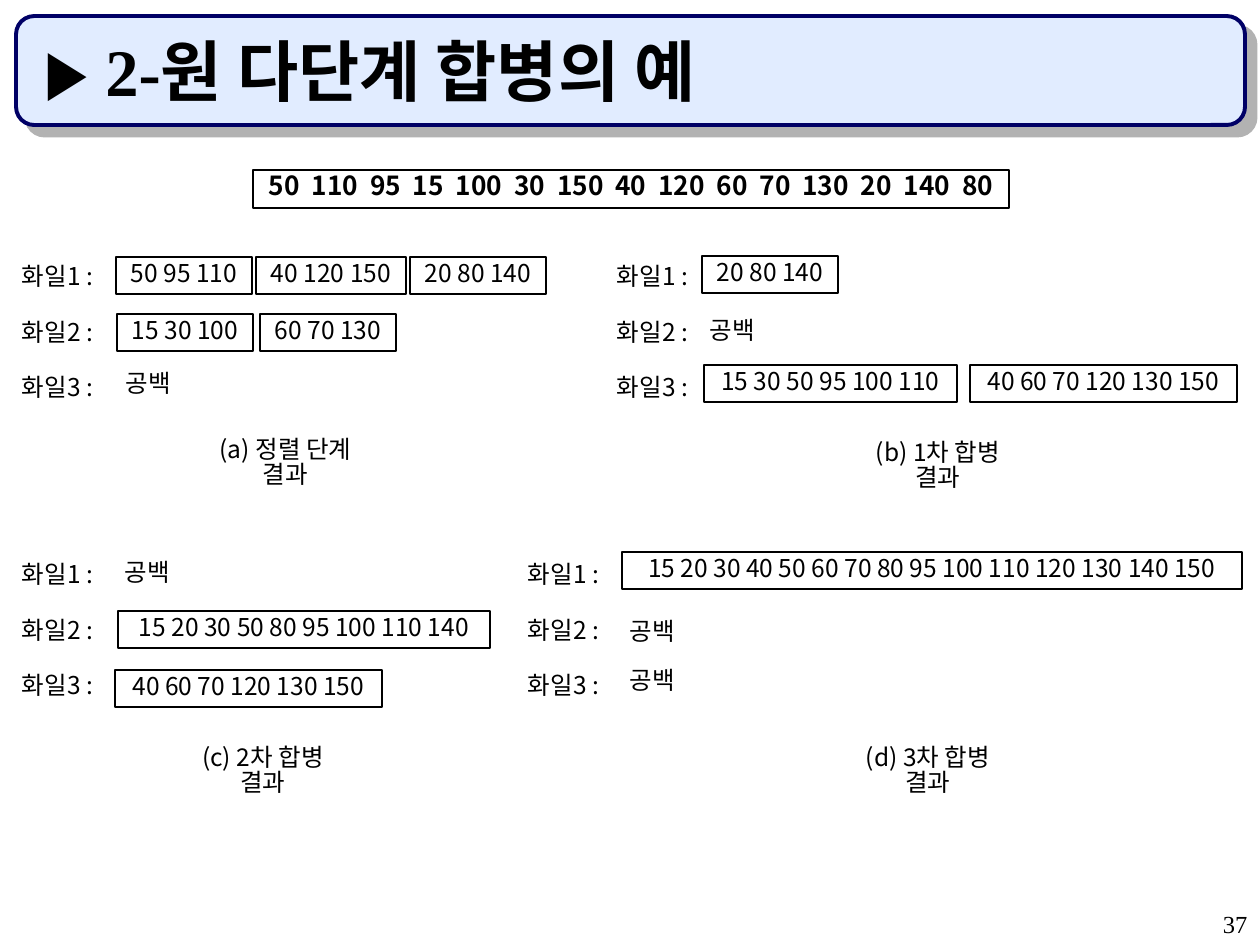
from dataclasses import dataclass

from lxml.etree import SubElement
from pptx import Presentation
from pptx.dml.color import RGBColor
from pptx.enum.shapes import MSO_SHAPE
from pptx.enum.text import MSO_ANCHOR, MSO_AUTO_SIZE, PP_ALIGN
from pptx.oxml.ns import qn
from pptx.util import Emu, Pt

EMU_PER_PX = 914400 / 126


@dataclass(frozen=True)
class Theme:
    ink: RGBColor = RGBColor(0x00, 0x00, 0x00)
    bar_fill: RGBColor = RGBColor(0xE1, 0xEC, 0xFF)
    bar_line: RGBColor = RGBColor(0x00, 0x00, 0x66)
    bar_shadow: str = "B2B2B2"
    serif: str = "Times New Roman"
    sans: str = "Noto Sans CJK KR"
    title_size: int = 38
    source_size: int = 15
    body_size: int = 14
    line_pitch: float = 14
    label_pitch: float = 28.5
    label_gap: float = 3.5


@dataclass(frozen=True)
class Item:
    """A sorted run in a frame, or the word for an empty file."""
    x: int
    y: int
    w: int
    text: str


@dataclass(frozen=True)
class Panel:
    """The three files after one step, with a caption below."""
    label_x: int
    label_y: int
    runs: tuple[Item, ...]
    empties: tuple[tuple[int, int], ...]
    caption: Item


THEME = Theme()
ROW_H = 37
EMPTY_W = 71
FILE_LABELS = "\n".join(f"화일{n} :" for n in (1, 2, 3))
SOURCE = "50 110 95 15 100 30 150 40 120 60 70 130 20 140 80".split()

PANELS = (
    Panel(6, 234,
          (Item(116, 257, 136, "50 95 110"), Item(256, 257, 150, "40 120 150"),
           Item(410, 257, 136, "20 80 140"), Item(117, 314, 136, "15 30 100"),
           Item(260, 314, 136, "60 70 130")),
          ((113, 367),),
          Item(178, 433, 215, "(a) 정렬 단계 결과")),
    Panel(601, 234,
          (Item(702, 256, 136, "20 80 140"),
           Item(704, 365, 253, "15 30 50 95 100 110"),
           Item(970, 365, 267, "40 60 70 120 130 150")),
          ((697, 314),),
          Item(834, 436, 208, "(b) 1차 합병 결과")),
    Panel(6, 532,
          (Item(118, 611, 372, "15 20 30 50 80 95 100 110 140"),
           Item(115, 670, 267, "40 60 70 120 130 150")),
          ((112, 556),),
          Item(161, 741, 204, "(c) 2차 합병 결과")),
    Panel(512, 532,
          (Item(622, 552, 620,
                "15 20 30 40 50 60 70 80 95 100 110 120 130 140 150"),),
          ((617, 615), (617, 664)),
          Item(824, 741, 208, "(d) 3차 합병 결과")),
)


def px(n: int) -> Emu:
    return Emu(round(n * EMU_PER_PX))


def rect(x: int, y: int, w: int, h: int) -> tuple[Emu, ...]:
    return px(x), px(y), px(w), px(h)


def style(tf, size: int, font: str = THEME.sans, bold: bool = False,
          align=PP_ALIGN.CENTER, pitch: float | None = None) -> None:
    tf.auto_size = MSO_AUTO_SIZE.NONE
    for p in tf.paragraphs:
        p.alignment = align
        if pitch:
            p.line_spacing = Pt(pitch)
        for r in p.runs:
            r.font.size = Pt(size)
            r.font.bold = bold
            r.font.name = font
            r.font.color.rgb = THEME.ink
            ea = SubElement(r.font._element, qn("a:ea"))
            ea.set("typeface", THEME.sans)


def add_frame(s, x: int, y: int, w: int, h: int):
    sp = s.shapes.add_shape(MSO_SHAPE.RECTANGLE, *rect(x, y, w, h))
    sp.shadow.inherit = False
    sp.fill.background()
    sp.line.color.rgb = THEME.ink
    sp.line.width = Pt(1)
    tf = sp.text_frame
    tf.word_wrap = False
    tf.vertical_anchor = MSO_ANCHOR.TOP
    return tf


def add_text(s, x: int, y: int, w: int, h: int, text: str):
    tf = s.shapes.add_textbox(*rect(x, y, w, h)).text_frame
    tf.text = text
    tf.word_wrap = False
    return tf


def add_title(s) -> None:
    # Rounded bar with a hard shadow, kept behind the title
    bar = s.shapes.add_shape(MSO_SHAPE.ROUNDED_RECTANGLE, *rect(16, 16, 1229, 109))
    bar.shadow.inherit = False
    bar.fill.solid()
    bar.fill.fore_color.rgb = THEME.bar_fill
    bar.line.color.rgb = THEME.bar_line
    bar.line.width = Pt(2.25)
    effects = bar._element.spPr.find(qn("a:effectLst"))
    shadow = SubElement(effects, qn("a:outerShdw"), dist=str(Pt(8.5)),
                        dir=str(45 * 60000), algn="ctr", rotWithShape="0")
    SubElement(shadow, qn("a:srgbClr"), val=THEME.bar_shadow)
    s.shapes._spTree.insert(2, bar._element)

    title = s.shapes.title
    title.left, title.top, title.width, title.height = rect(32, 32, 1187, 84)
    tf = title.text_frame
    tf.text = "▶ 2-원 다단계 합병의 예"
    tf.vertical_anchor = MSO_ANCHOR.BOTTOM
    style(tf, THEME.title_size, THEME.serif, True, PP_ALIGN.LEFT)


def add_source(s) -> None:
    tf = add_frame(s, 253, 170, 756, 38)
    p = tf.paragraphs[0]
    for i, number in enumerate(SOURCE):
        if i:
            gap = p.add_run()
            gap.text = " "
            gap.font._element.set("spc", "340")  # widens the gap
        p.add_run().text = number
    style(tf, THEME.source_size, bold=True, pitch=THEME.line_pitch)


def add_panel(s, panel: Panel) -> None:
    tf = add_text(s, panel.label_x, panel.label_y, 103, 175, FILE_LABELS)
    style(tf, THEME.body_size, pitch=THEME.label_pitch)
    for p in tf.paragraphs[1:]:
        p.space_before = Pt(THEME.label_gap)

    for run in panel.runs:
        tf = add_frame(s, run.x, run.y, run.w, ROW_H)
        tf.text = run.text
        style(tf, THEME.body_size, pitch=THEME.line_pitch)

    for x, y in panel.empties:
        tf = add_text(s, x, y, EMPTY_W, ROW_H, "공백")
        style(tf, THEME.body_size, pitch=THEME.line_pitch)

    c = panel.caption
    tf = add_text(s, c.x, c.y, c.w, ROW_H, c.text)
    tf.word_wrap = True
    tf.margin_left = tf.margin_right = px(25)
    style(tf, THEME.body_size, pitch=THEME.line_pitch)


def main() -> None:
    prs = Presentation()
    prs.slide_width, prs.slide_height = px(1260), px(945)
    s = prs.slides.add_slide(prs.slide_layouts[5])
    add_title(s)
    add_source(s)
    for panel in PANELS:
        add_panel(s, panel)
    # Page number
    tf = add_text(s, 998, 903, 262, 42, "37")
    tf.word_wrap = True
    style(tf, THEME.body_size, THEME.serif, align=PP_ALIGN.RIGHT)
    prs.save("out.pptx")


if __name__ == "__main__":
    main()
